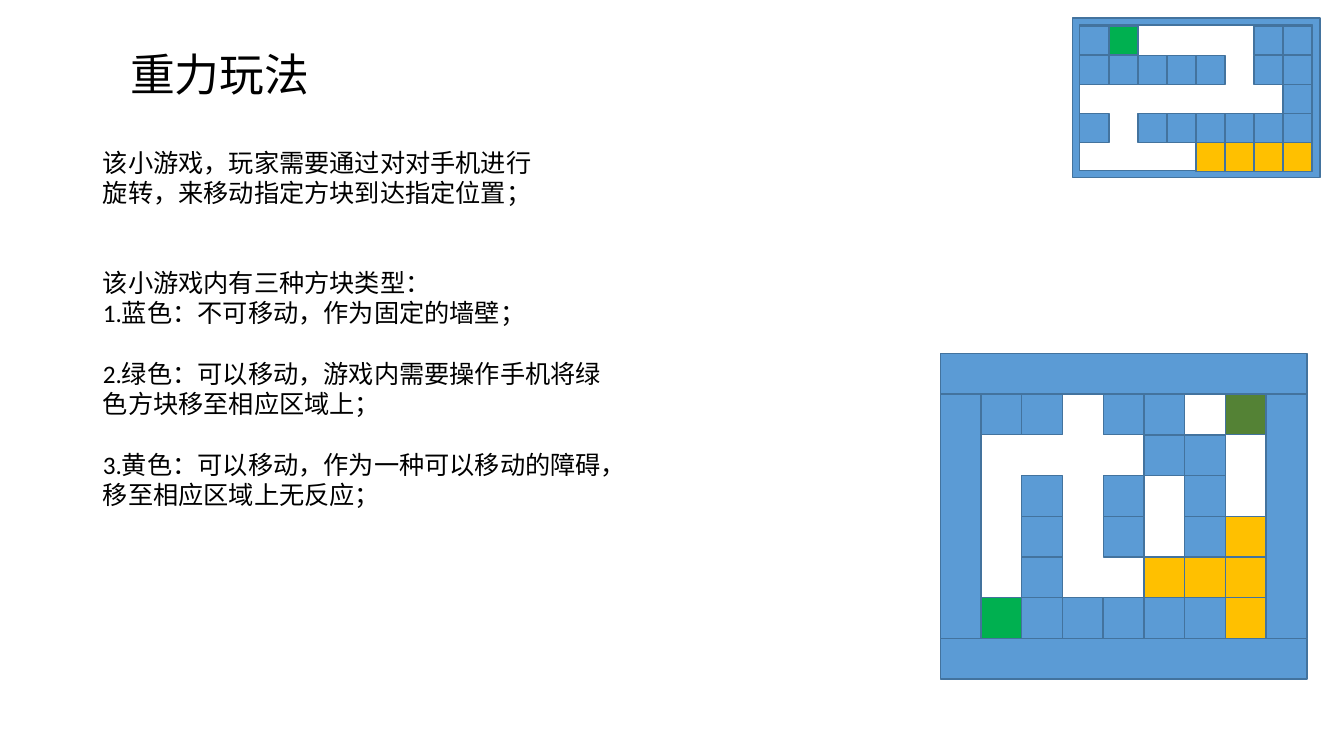
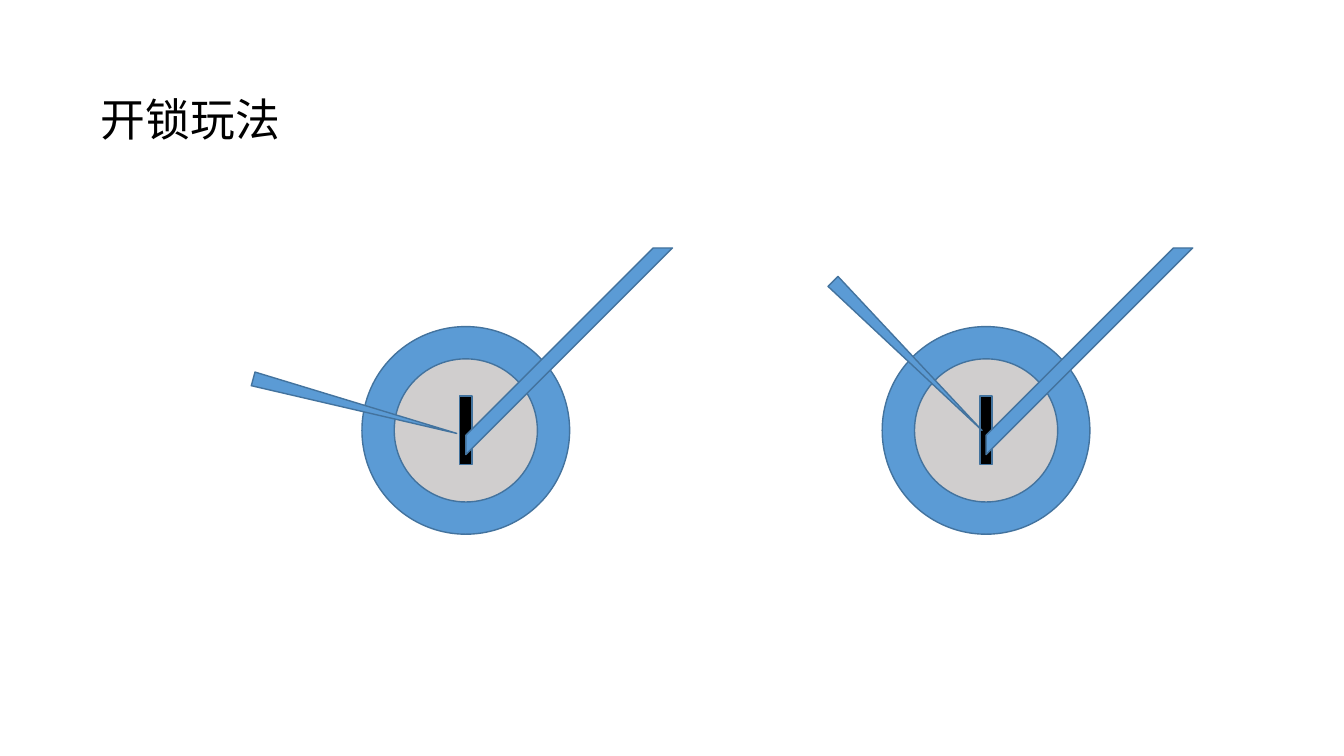
from math import cos, radians, sin

from lxml.etree import SubElement
from pptx import Presentation
from pptx.dml.color import RGBColor
from pptx.enum.shapes import MSO_SHAPE as Preset
from pptx.enum.text import MSO_ANCHOR as Anchor, MSO_AUTO_SIZE as AutoSize, PP_ALIGN as Align
from pptx.oxml.ns import qn
from pptx.util import Inches, Pt

WALL = RGBColor(0x5B, 0x9B, 0xD5)
OUTLINE = RGBColor(0x43, 0x73, 0x9E)
GREEN = RGBColor(0x00, 0xB0, 0x50)
DARK_GREEN = RGBColor(0x54, 0x82, 0x35)
YELLOW = RGBColor(0xFF, 0xC0, 0x00)
GREY = RGBColor(0xD0, 0xCE, 0xCE)
BLACK = RGBColor(0x00, 0x00, 0x00)
FONT = "Calibri"

BLOCKS = {"B": WALL, "G": GREEN, "D": DARK_GREEN, "Y": YELLOW}
TITLE_ONLY, TWO_CONTENT = 5, 3

GRAVITY_TITLE = "重力玩法"
GRAVITY_INTRO = ["该小游戏，玩家需要通过对对手机进行旋转，来移动指定方块到达指定位置；"]
BLOCK_TYPES = [
    "该小游戏内有三种方块类型：",
    "1.蓝色：不可移动，作为固定的墙壁；",
    "2.绿色：可以移动，游戏内需要操作手机将绿色方块移至相应区域上；",
    "3.黄色：可以移动，作为一种可以移动的障碍，移至相应区域上无反应；",
]
SMALL_MAZE = [
    "BG....BB",
    "BBBBB.BB",
    ".......B",
    "B.BBBBBB",
    "....YYYY",
]
LARGE_MAZE = [
    "BB.BB.D",
    "....BB.",
    ".B.B.B.",
    ".B.B.BY",
    ".B..YYY",
    "GBBBBBY",
]
LOCK_TITLE = "开锁玩法"
LOCKS = [
    {"center": 4.62, "angle": 105, "tip": (-0.09, 0.03)},
    {"center": 9.78, "angle": 135, "tip": (-0.04, 0)},
]
LOCK_MIDDLE = 4.27


def write_text(shape, lines, box, size=18, gaps=None):
    shape.left, shape.top, shape.width, shape.height = map(Inches, box)
    frame = shape.text_frame
    frame.word_wrap = True
    frame.auto_size = AutoSize.NONE
    frame.vertical_anchor = Anchor.TOP
    for index, line in enumerate(lines):
        paragraph = frame.paragraphs[0] if index == 0 else frame.add_paragraph()
        properties = paragraph._p.get_or_add_pPr()
        properties.set("marL", "0")
        properties.set("indent", "0")
        SubElement(properties, qn("a:buNone"))
        paragraph.alignment = Align.LEFT
        paragraph.space_before = Pt(gaps[index] if gaps else 0)
        run = paragraph.add_run()
        run.text = line
        run.font.size = Pt(size)
        run.font.name = FONT
        run.font.color.rgb = BLACK


def add_titled_slide(presentation, layout, title, box):
    slide = presentation.slides.add_slide(presentation.slide_layouts[layout])
    write_text(slide.shapes.title, [title], box, size=32)
    return slide


def add_part(shapes, preset, box, fill=WALL, adjust=None, angle=0):
    shape = shapes.add_shape(preset, *map(Inches, box))
    shape.shadow.inherit = False
    shape.fill.solid()
    shape.fill.fore_color.rgb = fill
    shape.line.color.rgb = OUTLINE
    shape.line.width = Pt(1)
    shape.rotation = angle
    if adjust is not None:
        shape.adjustments[0] = adjust
    return shape


def add_centered(shapes, preset, center, size, **style):
    (x, y), (width, height) = center, size
    return add_part(shapes, preset, (x - width / 2, y - height / 2, width, height), **style)


def add_blocks(shapes, maze, left, top, pitch):
    for row, line in enumerate(maze):
        for column, mark in enumerate(line):
            if mark in BLOCKS:
                box = (left + column * pitch, top + row * pitch, pitch, pitch)
                add_part(shapes, Preset.RECTANGLE, box, fill=BLOCKS[mark])


def add_small_maze(slide):
    shapes = slide.shapes.add_group_shape().shapes
    add_part(shapes, Preset.FRAME, (10.64, 0.18, 2.45, 1.58), adjust=0.044)
    add_blocks(shapes, SMALL_MAZE, 10.71, 0.26, 0.288)


def add_large_maze(slide, left=9.73, top=3.91, pitch=0.404):
    shapes = slide.shapes.add_group_shape().shapes
    columns, rows = len(LARGE_MAZE[0]), len(LARGE_MAZE)
    right, bottom = left + columns * pitch, top + rows * pitch
    for x in (left - pitch, right):
        add_part(shapes, Preset.RECTANGLE, (x, top, pitch, rows * pitch))
    for y in (top - pitch, bottom):
        add_part(shapes, Preset.RECTANGLE, (left - pitch, y, (columns + 2) * pitch, pitch))
    add_blocks(shapes, LARGE_MAZE, left, top, pitch)


def add_lock(slide, center, angle, tip, pick_length=2.09, wrench=2.05):
    shapes = slide.shapes
    middle = (center, LOCK_MIDDLE)
    add_centered(shapes, Preset.OVAL, middle, (2.06, 2.06))
    add_centered(shapes, Preset.OVAL, middle, (1.42, 1.42), fill=GREY)
    add_centered(shapes, Preset.RECTANGLE, middle, (0.12, 0.68), fill=BLACK)
    turn = radians(angle)
    pick = (center + tip[0] - sin(turn) * pick_length / 2,
            LOCK_MIDDLE + tip[1] + cos(turn) * pick_length / 2)
    add_centered(shapes, Preset.ISOSCELES_TRIANGLE, pick, (0.14, pick_length), angle=angle)
    add_part(shapes, Preset.DIAGONAL_STRIPE, (center, 2.46, wrench, wrench), adjust=0.907)


def main():
    presentation = Presentation()
    presentation.slide_width, presentation.slide_height = Inches(13.33), Inches(7.5)

    gravity = add_titled_slide(presentation, TWO_CONTENT, GRAVITY_TITLE, (1.19, 0.41, 2.25, 0.64))
    write_text(gravity.placeholders[1], GRAVITY_INTRO, (0.92, 1.41, 4.53, 0.71))
    write_text(gravity.placeholders[2], BLOCK_TYPES, (0.92, 2.6, 5.29, 2.52), gaps=(0, 0, 21.7, 21.7))
    add_small_maze(gravity)
    add_large_maze(gravity)

    unlocking = add_titled_slide(presentation, TITLE_ONLY, LOCK_TITLE, (0.9, 0.86, 2.92, 0.64))
    for lock in LOCKS:
        add_lock(unlocking, **lock)

    presentation.save("out.pptx")


if __name__ == "__main__":
    main()
